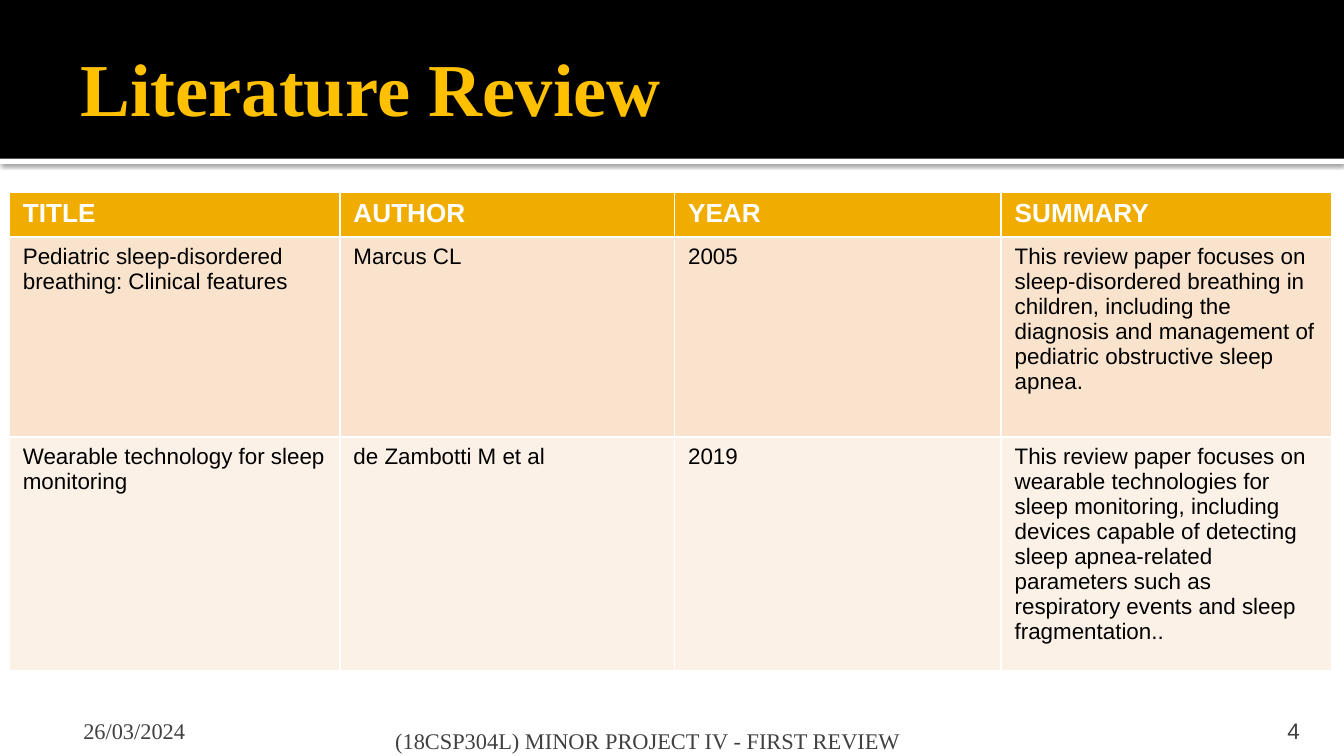
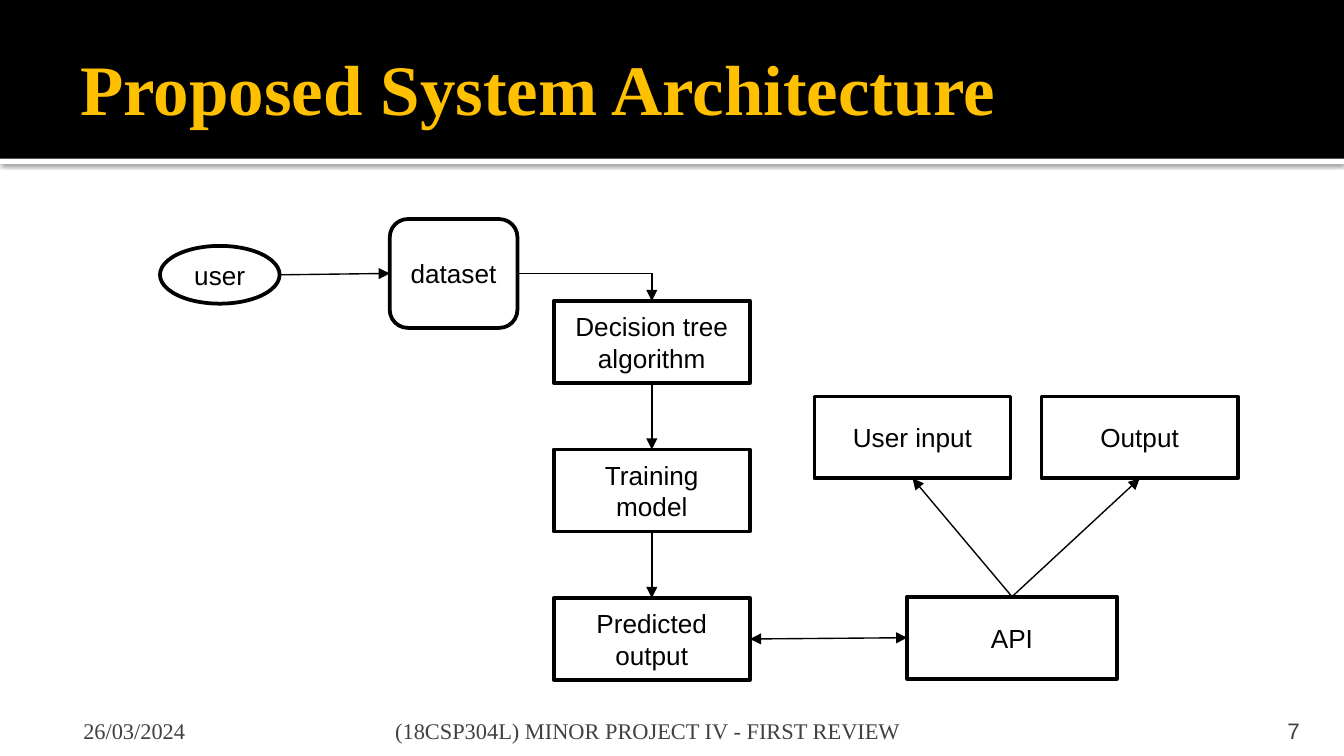
from lxml.etree import SubElement
from pptx import Presentation
from pptx.dml.color import RGBColor
from pptx.enum.shapes import MSO_CONNECTOR, MSO_SHAPE as SHAPE
from pptx.enum.text import MSO_ANCHOR as ANCHOR, PP_ALIGN as ALIGN
from pptx.oxml.ns import qn
from pptx.util import Inches, Pt

BLACK = RGBColor(0x00, 0x00, 0x00)
WHITE = RGBColor(0xFF, 0xFF, 0xFF)
TITLE_GOLD = RGBColor(0xFF, 0xC0, 0x00)
HEADER_GOLD = RGBColor(0xF0, 0xAD, 0x00)
ROW_TINTS = (RGBColor(0xF9, 0xE3, 0xCC), RGBColor(0xFC, 0xF1, 0xE7))
FOOTER_GRAY = RGBColor(0x41, 0x41, 0x41)
NUMBER_GRAY = RGBColor(0x3F, 0x3F, 0x3F)
SERIF, SANS = "Times New Roman", "Arial"

DATE = "26/03/2024"
COURSE = "(18CSP304L) MINOR PROJECT IV - FIRST REVIEW"

REVIEW_COLUMNS = (("TITLE", 2.46), ("AUTHOR", 2.49), ("YEAR", 2.43), ("SUMMARY", 2.46))
REVIEW_HEIGHTS = (0.33, 1.49, 1.74)
PAPERS = (
    ("Pediatric sleep-disordered breathing: Clinical features", "Marcus CL", "2005",
     "This review paper focuses on sleep-disordered breathing in children, including "
     "the diagnosis and management of pediatric obstructive sleep apnea."),
    ("Wearable technology for sleep monitoring", "de Zambotti M et al", "2019",
     "This review paper focuses on wearable technologies for sleep monitoring, "
     "including devices capable of detecting sleep apnea-related parameters such as "
     "respiratory events and sleep fragmentation.."),
)


def write(frame, text, size, font, color, bold=False, align=ALIGN.LEFT):
    frame.text = text
    paragraph = frame.paragraphs[0]
    paragraph.alignment = align
    paragraph.font.size = Pt(size)
    paragraph.font.name = font
    paragraph.font.bold = bold
    paragraph.font.color.rgb = color


def add_label(slide, box, insets, anchor, *style, **options):
    frame = slide.shapes.add_textbox(*map(Inches, box)).text_frame
    frame.word_wrap = True
    frame.vertical_anchor = anchor
    (frame.margin_left, frame.margin_top,
     frame.margin_right, frame.margin_bottom) = map(Inches, insets)
    write(frame, *style, **options)


# Shared frame: band, title, footers
def add_band(slide, left, top, width, height, rule=0.04):
    for y, h, color in ((top + height, rule, WHITE), (top, height, BLACK)):
        strip = slide.shapes.add_shape(SHAPE.RECTANGLE, *map(Inches, (left, y, width, h)))
        strip.fill.solid()
        strip.fill.fore_color.rgb = color
        strip.line.fill.background()
        strip.shadow.inherit = False
        if color == WHITE:
            effects = strip._element.spPr.find(qn("a:effectLst"))
            shadow = SubElement(effects, qn("a:outerShdw"), blurRad=str(Pt(2.5)),
                                dist=str(Pt(0.8)), dir="5400000", rotWithShape="0")
            black = SubElement(shadow, qn("a:srgbClr"), val=str(BLACK))
            SubElement(black, qn("a:alpha"), val="60000")


def add_footer(slide, left, top, number, course_drop):
    height = 0.23
    add_label(slide, (left + 2.39, top + course_drop, 6.02, height), (0.05, 0.05, 0.05, 0),
              ANCHOR.BOTTOM, COURSE, 12, SERIF, FOOTER_GRAY)
    add_label(slide, (left, top, 2.33, height), (0.12, 0.05, 0.05, 0),
              ANCHOR.BOTTOM, DATE, 12, SERIF, FOOTER_GRAY)
    add_label(slide, (left + 8.47, top, 0.8, height), (0.1, 0.05, 0.1, 0),
              ANCHOR.BOTTOM, number, 12, SANS, NUMBER_GRAY, align=ALIGN.RIGHT)


def add_page(deck, title, title_size, number, course_drop=0):
    slide = deck.slides.add_slide(deck.slide_layouts[6])
    add_band(slide, 0, 0, 10, 1.18)
    add_label(slide, (0.5, 0.13, 9, 1.03), (0.1, 0.05, 0.05, 0.05),
              ANCHOR.MIDDLE, title, title_size, SERIF, TITLE_GOLD, bold=True)
    add_footer(slide, 0.5, 5.31, number, course_drop)
    return slide


# Literature table; its white rules come from the default table style
def add_review_table(slide, left, top):
    names, widths = zip(*REVIEW_COLUMNS)
    rows = (names, *PAPERS)
    table = slide.shapes.add_table(
        len(rows), len(names),
        *map(Inches, (left, top, sum(widths), sum(REVIEW_HEIGHTS)))).table
    for column, width in zip(table.columns, widths):
        column.width = Inches(width)
    for r, (texts, height) in enumerate(zip(rows, REVIEW_HEIGHTS)):
        table.rows[r].height = Inches(height)
        header = r == 0
        for c, text in enumerate(texts):
            cell = table.cell(r, c)
            cell.fill.solid()
            cell.fill.fore_color.rgb = HEADER_GOLD if header else ROW_TINTS[r - 1]
            write(cell.text_frame, text, 14 if header else 12, SANS,
                  WHITE if header else BLACK, bold=header)


# Architecture diagram
def add_node(slide, text, left, top, width=1.46, height=0.61, kind=SHAPE.RECTANGLE):
    node = slide.shapes.add_shape(kind, *map(Inches, (left, top, width, height)))
    node.shadow.inherit = False
    node.fill.solid()
    node.fill.fore_color.rgb = WHITE
    node.line.color.rgb = BLACK
    node.line.width = Pt(2)
    node.text_frame.vertical_anchor = ANCHOR.MIDDLE
    write(node.text_frame, text, 14, SANS, BLACK, align=ALIGN.CENTER)
    return node


def add_link(slide, start=(0, 0), end=(0, 0), source=None, target=None, arrows=("tail",)):
    """Draw a line between points; a (node, side) source or target replaces its point."""
    link = slide.shapes.add_connector(MSO_CONNECTOR.STRAIGHT, *start, *end)
    if source:
        link.begin_connect(*source)
    if target:
        link.end_connect(*target)
    link.line.color.rgb = BLACK
    link.line.width = Pt(0.75)
    for tip in arrows:
        SubElement(link.line._get_or_add_ln(), qn(f"a:{tip}End"), type="triangle")
    SubElement(link._element.spPr, qn("a:effectLst"))


def add_architecture(slide, left, top):
    top_side, left_side, bottom_side, right_side = range(4)
    user = add_node(slide, "user", left, top + 0.2, 0.89, 0.43, SHAPE.OVAL)
    dataset = add_node(slide, "dataset", left + 1.71, top, 0.95, 0.81,
                       SHAPE.ROUNDED_RECTANGLE)
    decision, training, predicted = (
        add_node(slide, text, left + 2.93, top + 0.61 + 2.21 * i / 2)
        for i, text in enumerate(("Decision tree algorithm", "Training model",
                                  "Predicted output")))
    api = add_node(slide, "API", left + 5.56, top + 2.81, 1.56)
    endpoints = [add_node(slide, text, left + 4.87 + 1.69 * i, top + 1.32)
                 for i, text in enumerate(("User input", "Output"))]

    # Flow from the user to the model
    add_link(slide, start=(user.left + user.width, user.top + user.height // 2),
             target=(dataset, left_side))
    corner = (decision.left + decision.width // 2, dataset.top + dataset.height // 2)
    add_link(slide, source=(dataset, right_side), end=corner, arrows=())
    add_link(slide, start=corner, target=(decision, top_side))
    for upper, lower in ((decision, training), (training, predicted)):
        add_link(slide, source=(upper, bottom_side), target=(lower, top_side))

    # Links of the API
    add_link(slide, source=(predicted, right_side), target=(api, left_side),
             arrows=("head", "tail"))
    for endpoint in endpoints:
        add_link(slide, source=(api, top_side), target=(endpoint, bottom_side))


def main():
    deck = Presentation()
    deck.slide_width = Inches(10)
    deck.slide_height = deck.slide_width * 9 // 16
    review = add_page(deck, "Literature Review", 40, "4", course_drop=0.07)
    add_review_table(review, 0.07, 1.43)
    architecture = add_page(deck, "Proposed System Architecture", 38, "7")
    add_architecture(architecture, 1.19, 1.63)
    deck.save("out.pptx")


if __name__ == "__main__":
    main()
